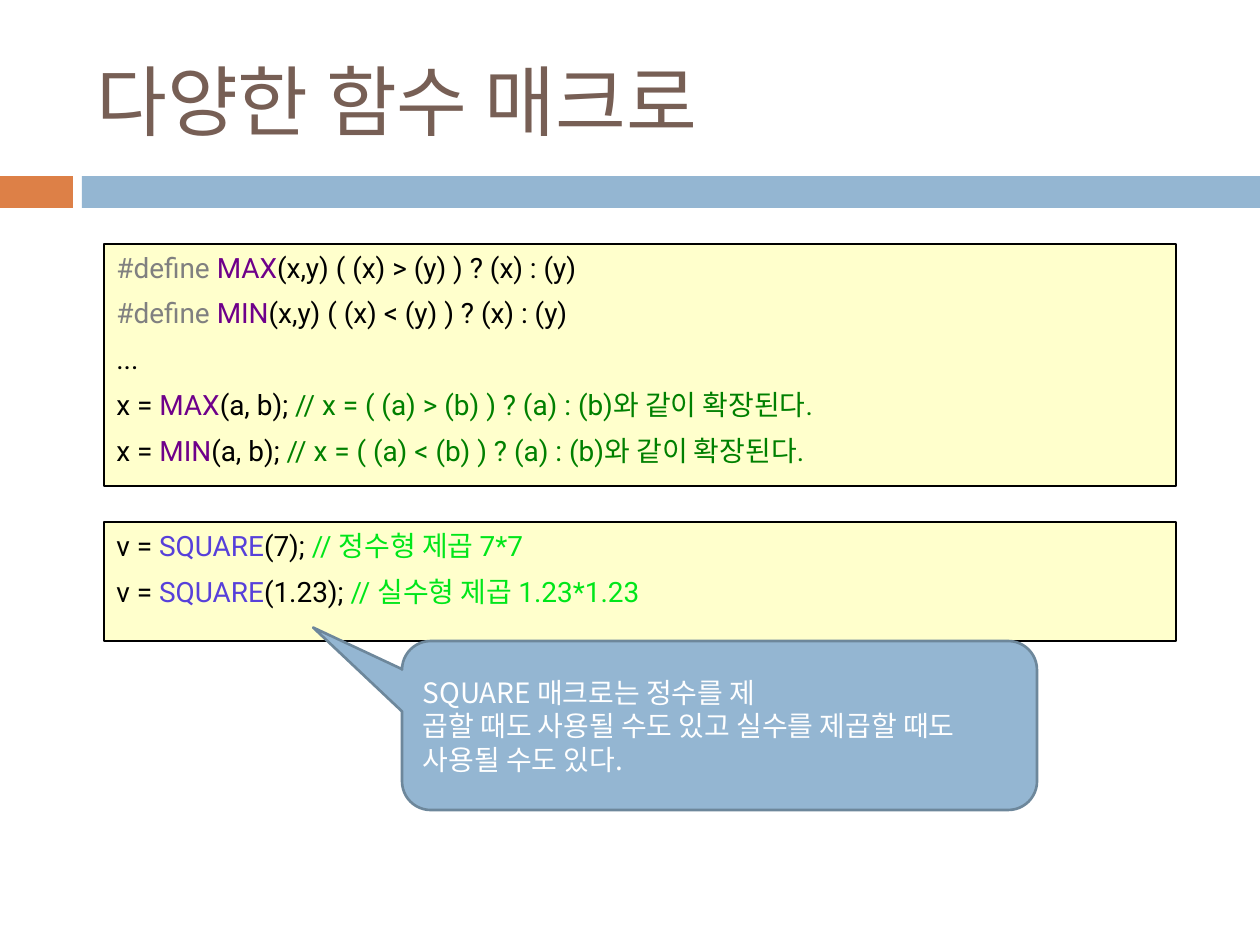
"""Build the slide on various function macros."""
import pptx
import pptx.dml.color
import pptx.enum.shapes
import pptx.enum.text
import pptx.oxml.ns
import pptx.util

PX = 914400 / 126
SHAPE = pptx.enum.shapes.MSO_SHAPE
ANCHOR = pptx.enum.text.MSO_ANCHOR
KOREAN = "Noto Sans CJK KR"
BLUE, CREAM, BLACK, WHITE = "94B6D2", "FFFFCC", "000000", "FFFFFF"
GRAY, PURPLE, GREEN = "808080", "6F008A", "008000"
VIOLET, LIME = "5740DA", "00E61A"


def color(code):
    return pptx.dml.color.RGBColor.from_string(code)


def write(frame, lines, size=16, font="Roboto", before=0, anchor=ANCHOR.TOP):
    frame.word_wrap = True
    frame.vertical_anchor = anchor
    for index, pieces in enumerate(lines):
        line = frame.add_paragraph() if index else frame.paragraphs[0]
        line.alignment = pptx.enum.text.PP_ALIGN.LEFT
        line.space_before = pptx.util.Pt(before)
        for words, ink in pieces:
            run = line.add_run()
            run.text = words
            run.font.size = pptx.util.Pt(size)
            run.font.name = font
            run.font.color.rgb = color(ink)
            east_asian = run.font._element.makeelement(pptx.oxml.ns.qn("a:ea"), {"typeface": KOREAN})
            run.font._element.append(east_asian)


deck = pptx.Presentation()
deck.slide_width, deck.slide_height = round(1260 * PX), round(945 * PX)
slide = deck.slides.add_slide(deck.slide_layouts[6])

title = slide.shapes.add_textbox(*(round(n * PX) for n in (84, 32, 1124, 136)))
write(title.text_frame, [[("다양한 함수 매크로", "775F55")]], size=44, font="Calibri", anchor=ANCHOR.MIDDLE)

macros = [("MAX", ">"), ("MIN", "<")]
definitions = [
    [("#define ", GRAY), (name, PURPLE), (f"(x,y) ( (x) {sign} (y) ) ? (x) : (y)", BLACK)]
    for name, sign in macros
]
expansions = [
    [("x = ", BLACK), (name, PURPLE), ("(a, b); ", BLACK),
     (f"// x = ( (a) {sign} (b) ) ? (a) : (b)와 같이 확장된다.", GREEN)]
    for name, sign in macros
]
squares = [
    [("v = ", BLACK), ("SQUARE", VIOLET), (f"({value}); ", BLACK), (f"// {kind} 제곱 {value}*{value}", LIME)]
    for value, kind in (("7", "정수형"), ("1.23", "실수형"))
]
remark = [
    [("SQUARE 매크로는 정수를 제", WHITE)],
    [("곱할 때도 사용될 수도 있고 실수를 제곱할 때도 사용될 수도 있다.", WHITE)],
]

code_style = {"before": 7}
remark_style = {"font": KOREAN, "anchor": ANCHOR.MIDDLE}
panels = [
    (SHAPE.RECTANGLE, (0, 176, 73, 32), "DD8047", None, 0, [], {}),
    (SHAPE.RECTANGLE, (82, 176, 1178, 32), BLUE, None, 0, [], {}),
    (SHAPE.RECTANGLE, (104, 244, 1072, 242), CREAM, BLACK, 0.75,
     definitions + [[("...", BLACK)]] + expansions, code_style),
    (SHAPE.RECTANGLE, (104, 522, 1072, 119), CREAM, BLACK, 0.75, squares, code_style),
    (SHAPE.ROUNDED_RECTANGULAR_CALLOUT, (402, 641, 635, 169), BLUE, "6D879B", 1.5, remark, remark_style),
]
for outline, place, fill, edge, weight, lines, style in panels:
    panel = slide.shapes.add_shape(outline, *(round(n * PX) for n in place))
    panel.shadow.inherit = False
    panel.fill.solid()
    panel.fill.fore_color.rgb = color(fill)
    if edge:
        panel.line.color.rgb = color(edge)
        panel.line.width = pptx.util.Pt(weight)
    else:
        panel.line.fill.background()
    if outline == SHAPE.ROUNDED_RECTANGULAR_CALLOUT:
        for index, ratio in enumerate((-0.64, -0.58, 0.17)):
            panel.adjustments[index] = ratio
    write(panel.text_frame, lines, **style)

deck.save("out.pptx")
